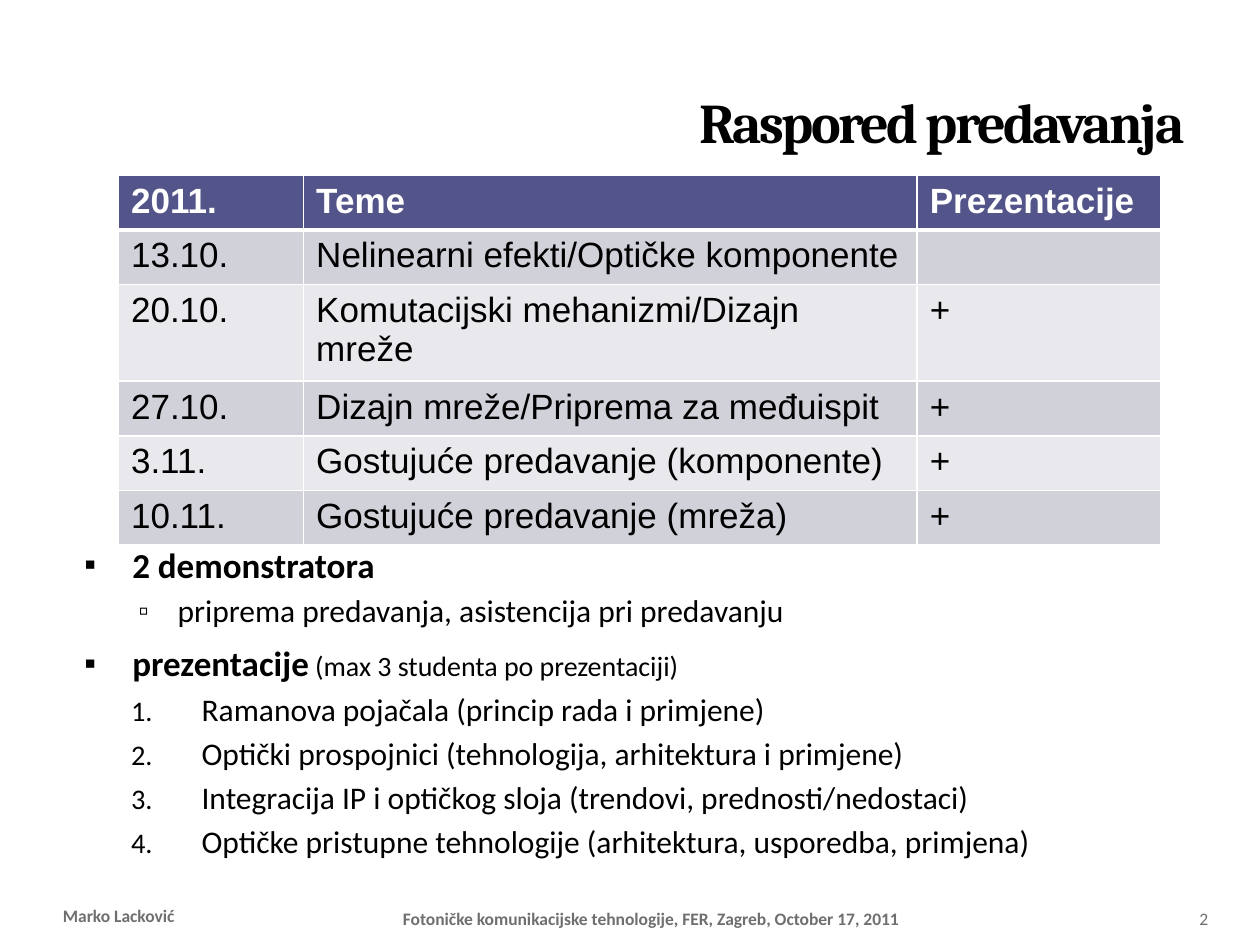
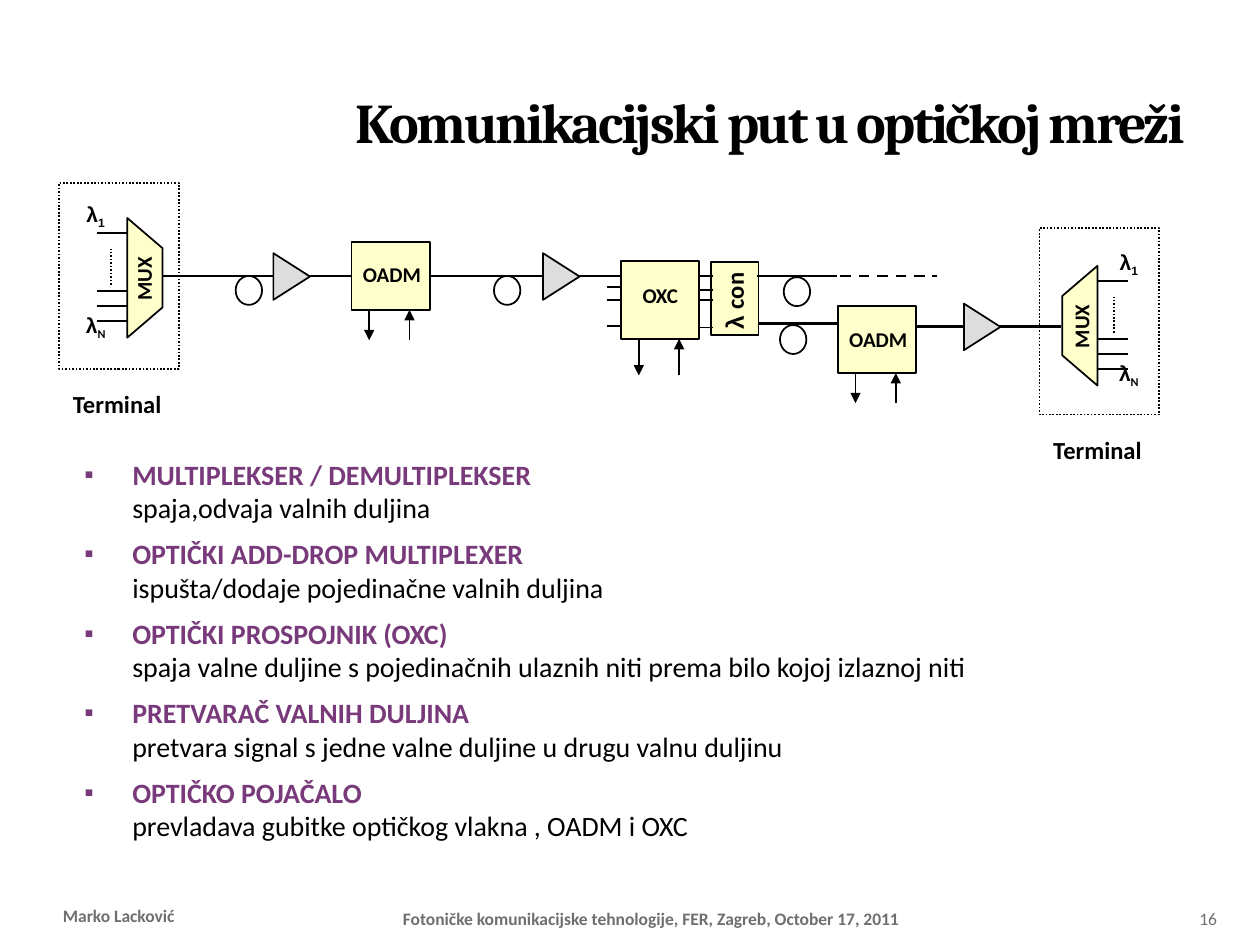
from dataclasses import dataclass
from typing import NamedTuple

from lxml import etree
from pptx import Presentation
from pptx.dml.color import RGBColor
from pptx.enum import dml, shapes, text
from pptx.oxml.ns import qn
from pptx import util as u

PX = 9144  # one px is a hundredth of an inch
COLORS = {
    "ink": "000000", "white": "FFFFFF", "footer": "6F6F6F", "term": "783A7A",
    "block": "FFFFCC", "amplifier": "DDDDDD",
    "header": "53548A", "odd": "D1D1DA", "even": "E9E9ED",
}
SANS, SERIF, TABLE_FONT = "Calibri", "Cambria", "Arial"
DOTS, DASH = dml.MSO_LINE.ROUND_DOT, dml.MSO_LINE.DASH


class Run(NamedTuple):
    words: str
    size: float
    bold: bool = False
    color: str = "ink"
    font: str = SANS
    subscript: bool = False


class ListStyle(NamedTuple):
    level: int
    left: int
    hang: int
    before: float
    bullet: str  # an empty bullet means automatic numbers
    percent: int


MAIN = ListStyle(0, 45, 38, 7, "▪", 95)
SUB = ListStyle(1, 81, 31, 3.6, "▫", 90)
NUMBERED = ListStyle(1, 100, 56, 3.6, "", 90)


class Item(NamedTuple):
    style: ListStyle
    lines: list[list[Run]]


@dataclass
class Block:
    x: int
    y: int
    w: int
    h: int
    label: str = ""
    label_dx: int = 0
    label_dy: int = 0
    drop: int = 0


@dataclass
class Terminal:
    wide_x: int
    top: int
    side: int  # -1: channels on the left, 1: on the right
    frame_x: int
    frame_y: int


def px(n: float) -> u.Emu:
    return u.Emu(round(n * PX))


def rgb(name: str) -> RGBColor:
    return RGBColor.from_string(COLORS[name])


# Text helpers
def add_run(paragraph, spec_run: Run):
    run = paragraph.add_run()
    run.text = spec_run.words
    run.font.size = u.Pt(spec_run.size)
    run.font.bold = spec_run.bold
    run.font.name = spec_run.font
    run.font.color.rgb = rgb(spec_run.color)
    if spec_run.subscript:
        run._r.get_or_add_rPr().set("baseline", "-25000")
    return run


def place(shape, x: float, y: float, w: float, h: float) -> None:
    shape.left, shape.top, shape.width, shape.height = map(px, (x, y, w, h))


def add_label(slide, cx: float, cy: float, w: int, h: int, runs: list[Run], turn: int = 0) -> None:
    box = slide.shapes.add_textbox(px(cx - w / 2), px(cy - h / 2), px(w), px(h))
    box.rotation = turn
    box.text_frame.word_wrap = False
    paragraph = box.text_frame.paragraphs[0]
    paragraph.alignment = text.PP_ALIGN.CENTER
    for run in runs:
        add_run(paragraph, run)


def add_bullet(paragraph, style: ListStyle) -> None:
    paragraph.level = style.level
    props = paragraph._p.get_or_add_pPr()
    props.set("marL", str(px(style.left)))
    props.set("indent", str(-px(style.hang)))
    etree.SubElement(props, qn("a:buSzPct"), val=str(style.percent * 1000))
    if style.bullet:
        etree.SubElement(props, qn("a:buFont"), typeface="Arial")
        etree.SubElement(props, qn("a:buChar"), char=style.bullet)
    else:
        etree.SubElement(props, qn("a:buFont"), typeface=SANS)
        etree.SubElement(props, qn("a:buAutoNum"), type="arabicPeriod")


def fill_list(body, items: list[Item]) -> None:
    frame = body.text_frame
    frame.auto_size = text.MSO_AUTO_SIZE.NONE
    for i, item in enumerate(items):
        paragraph = frame.add_paragraph() if i else frame.paragraphs[0]
        add_bullet(paragraph, item.style)
        paragraph.space_before = u.Pt(item.style.before if i else 0)
        for n, line in enumerate(item.lines):
            if n:
                paragraph.add_line_break()
                line_break = paragraph._p.findall(qn("a:br"))[-1]
                etree.SubElement(line_break, qn("a:rPr"), sz=str(line[0].size * 100))
            for run in line:
                add_run(paragraph, run)


# Parts that every slide shares
def add_footer(slide, x: int, y: int, w: int, run: Run, align, inset: int = 10) -> None:
    box = slide.shapes.add_textbox(px(x), px(y), px(w), px(40))
    frame = box.text_frame
    frame.word_wrap = True
    frame.vertical_anchor = text.MSO_ANCHOR.BOTTOM
    frame.margin_left = px(inset)
    frame.paragraphs[0].alignment = align
    add_run(frame.paragraphs[0], run)


def new_slide(deck, heading: str, number: int):
    slide = deck.slides.add_slide(deck.slide_layouts[1])
    left, center = text.PP_ALIGN.LEFT, text.PP_ALIGN.CENTER
    course = "Fotoničke komunikacijske tehnologije, FER, Zagreb, October 17, 2011"
    add_footer(slide, 158, 702, 717, Run(course, 10, True, "footer"), center)
    add_footer(slide, 50, 700, 117, Run("Marko Lacković", 10, True, "footer"), left, 0)
    add_footer(slide, 942, 702, 50, Run(str(number), 10, False, "footer"), left)
    title = slide.shapes.title
    place(title, 50, 25, 900, 142)
    title.text_frame.auto_size = text.MSO_AUTO_SIZE.NONE
    title.text_frame.vertical_anchor = text.MSO_ANCHOR.MIDDLE
    paragraph = title.text_frame.paragraphs[0]
    paragraph.alignment = text.PP_ALIGN.RIGHT
    run = add_run(paragraph, Run(heading, 32, True, font=SERIF))
    run._r.get_or_add_rPr().set("spc", "-150")
    return slide


# Schedule table
def set_borders(cell, bottom: int, top: int) -> None:
    props = cell._tc.get_or_add_tcPr()
    for side, points in (("L", 1), ("R", 1), ("T", top), ("B", bottom)):
        line = etree.SubElement(props, qn(f"a:ln{side}"), w=str(u.Pt(points)))
        fill = etree.SubElement(line, qn("a:solidFill"))
        etree.SubElement(fill, qn("a:srgbClr"), val=COLORS["white"])


def add_schedule(slide, rows: list[tuple[str, str, str]]) -> None:
    widths, heights = (147, 487, 193), (41, 43, 72, 41, 41, 41)
    frame = slide.shapes.add_table(len(rows), len(widths), px(94), px(139), px(sum(widths)), px(sum(heights)))
    table = frame.table
    for column, width in zip(table.columns, widths):
        column.width = px(width)
    for r, (row, height) in enumerate(zip(rows, heights)):
        table.rows[r].height = px(height)
        shade = "header" if r == 0 else "odd" if r % 2 else "even"
        for c, words in enumerate(row):
            cell = table.cell(r, c)
            set_borders(cell, 3 if r == 0 else 1, 3 if r == 1 else 1)
            cell.fill.solid()
            cell.fill.fore_color.rgb = rgb(shade)
            if words:
                color = "ink" if r else "white"
                add_run(cell.text_frame.paragraphs[0], Run(words, 20, r == 0, color, TABLE_FONT))


# Diagram pieces
def paint(shape, fill: str = "", dash=None) -> None:
    shape.shadow.inherit = False
    if fill:
        shape.fill.solid()
        shape.fill.fore_color.rgb = rgb(fill)
    else:
        shape.fill.background()
    shape.line.color.rgb = rgb("ink")
    shape.line.width = u.Pt(1)
    if dash:
        shape.line.dash_style = dash


def add_preset(slide, kind, x: float, y: float, w: int, h: int, fill: str = "", dash=None):
    shape = slide.shapes.add_shape(kind, px(x), px(y), px(w), px(h))
    paint(shape, fill, dash)
    return shape


def add_wire(slide, x1: int, y1: int, x2: int, y2: int, width: float = 1, dash=None, arrow: bool = False):
    wire = slide.shapes.add_connector(shapes.MSO_CONNECTOR.STRAIGHT, px(x1), px(y1), px(x2), px(y2))
    wire.line.color.rgb = rgb("ink")
    wire.line.width = u.Pt(width)
    if dash:
        wire.line.dash_style = dash
    if arrow:
        etree.SubElement(wire.line._get_or_add_ln(), qn("a:tailEnd"), type="triangle")
    etree.SubElement(wire._element.spPr, qn("a:effectLst"))
    return wire


def add_block(slide, block: Block):
    shape = add_preset(slide, shapes.MSO_SHAPE.RECTANGLE, block.x, block.y, block.w, block.h, "block")
    if block.label:
        add_label(slide, block.x + block.w / 2 + block.label_dx, block.y + block.h / 2 + block.label_dy,
                  69, 30, [Run(block.label, 12, True)])
    if block.drop:
        bottom = block.y + block.h
        add_wire(slide, block.x + 14, bottom, block.x + 14, bottom + block.drop, arrow=True)
        add_wire(slide, block.x + 46, bottom + block.drop, block.x + 46, bottom, arrow=True)
    return shape


def add_terminal(slide, t: Terminal) -> None:
    narrow_x, outer_x = t.wide_x - 28 * t.side, t.wide_x + 24 * t.side
    outline = slide.shapes.build_freeform(t.wide_x, t.top, scale=PX)
    outline.add_line_segments([(narrow_x, t.top + 24), (narrow_x, t.top + 71), (t.wide_x, t.top + 95)])
    paint(outline.convert_to_shape(), "block")
    for dy in (12, 58, 70, 82):
        add_wire(slide, t.wide_x, t.top + dy, outer_x, t.top + dy)
    dots_x = t.wide_x + 13 * t.side
    add_wire(slide, dots_x, t.top + 53, dots_x, t.top + 25, dash=DOTS)
    for index, font, dy in (("1", TABLE_FONT, -3), ("N", SANS, 85)):
        add_label(slide, t.wide_x + 25 * t.side, t.top + dy, 36, 30,
                  [Run("λ", 12, True, font=TABLE_FONT), Run(index, 12, True, font=font, subscript=True)])
    add_label(slide, t.wide_x - 13 * t.side, t.top + 48, 56, 30, [Run("MUX", 12, True)], 270)
    add_preset(slide, shapes.MSO_SHAPE.RECTANGLE, t.frame_x, t.frame_y, 95, 148, dash=DOTS)
    add_label(slide, t.frame_x + 46, t.frame_y + 176, 95, 34, [Run("Terminal", 14, True)])


def add_optical_path(slide) -> None:
    add_terminal(slide, Terminal(101, 173, -1, 47, 145))
    add_terminal(slide, Terminal(871, 211, 1, 825, 181))
    oadm = add_block(slide, Block(279, 192, 62, 54, "OADM", 1, -1, 24))
    oxc = add_block(slide, Block(493, 207, 62, 62, "OXC", 0, -4, 29))
    add_block(slide, Block(665, 243, 62, 53, "OADM", 1, 0, 24))
    add_block(slide, Block(564, 208, 38, 58))
    add_label(slide, 583, 239, 80, 34, [Run("λ ", 14, True, font=TABLE_FONT), Run("con", 14, True)], 270)

    # Fibres
    add_wire(slide, 129, 219, 279, 219, 1.5).end_connect(oadm, 1)
    add_wire(slide, 341, 219, 492, 219, 1.5).begin_connect(oadm, 3)
    add_wire(slide, 601, 219, 664, 219, 1.5)
    add_wire(slide, 667, 219, 744, 219, 1.5, DASH)
    add_wire(slide, 602, 257, 665, 257, 1.5)
    add_wire(slide, 727, 259, 842, 259, 1.5)

    # Ports of the cross-connect
    for y in (228, 259):
        add_wire(slide, 493, y, 482, y)
    for y in (219, 230, 260):
        add_wire(slide, 555, y, 566, y)
    add_wire(slide, 493, 238, 482, 238).begin_connect(oxc, 1)
    add_wire(slide, 555, 238, 566, 238).begin_connect(oxc, 3)

    # Fibre loops and amplifiers
    for x, y in ((187, 219), (392, 219), (622, 220), (619, 258)):
        add_preset(slide, shapes.MSO_SHAPE.OVAL, x, y, 21, 23)
    for x, y in ((213, 205), (427, 205), (761, 245)):
        add_preset(slide, shapes.MSO_SHAPE.ISOSCELES_TRIANGLE, x, y, 37, 29, "amplifier").rotation = 90


def build_schedule(deck) -> None:
    slide = new_slide(deck, "Raspored predavanja", 2)
    body = slide.placeholders[1]
    place(body, 50, 426, 900, 249)
    topics = ["Ramanova pojačala (princip rada i primjene)",
              "Optički prospojnici (tehnologija, arhitektura i primjene)",
              "Integracija IP i optičkog sloja (trendovi, prednosti/nedostaci)",
              "Optičke pristupne tehnologije (arhitektura, usporedba, primjena)"]
    fill_list(body, [
        Item(MAIN, [[Run("2 demonstratora", 20, True)]]),
        Item(SUB, [[Run("priprema predavanja, asistencija pri predavanju", 18)]]),
        Item(MAIN, [[Run("prezentacije", 20, True), Run(" (max 3 studenta po prezentaciji)", 16)]]),
        *(Item(NUMBERED, [[Run(topic, 18)]]) for topic in topics),
    ])
    add_schedule(slide, [
        ("2011.", "Teme", "Prezentacije"),
        ("13.10.", "Nelinearni efekti/Optičke komponente", ""),
        ("20.10.", "Komutacijski mehanizmi/Dizajn mreže", "+"),
        ("27.10.", "Dizajn mreže/Priprema za međuispit", "+"),
        ("3.11.", "Gostujuće predavanje (komponente)", "+"),
        ("10.11.", "Gostujuće predavanje (mreža)", "+"),
    ])


def build_path(deck) -> None:
    slide = new_slide(deck, "Komunikacijski put u optičkoj mreži", 16)
    body = slide.placeholders[1]
    place(body, 50, 358, 900, 317)
    terms = [
        ("MULTIPLEKSER / DEMULTIPLEKSER", "spaja,odvaja valnih duljina"),
        ("OPTIČKI ADD-DROP MULTIPLEXER", "ispušta/dodaje pojedinačne valnih duljina"),
        ("OPTIČKI PROSPOJNIK (OXC)",
         "spaja valne duljine s pojedinačnih ulaznih niti prema bilo kojoj izlaznoj niti"),
        ("PRETVARAČ VALNIH DULJINA", "pretvara signal s jedne valne duljine u drugu valnu duljinu"),
        ("OPTIČKO POJAČALO", "prevladava gubitke optičkog vlakna , OADM i OXC"),
    ]
    fill_list(body, [Item(MAIN, [[Run(term, 16, True, "term")], [Run(meaning, 16)]])
                     for term, meaning in terms])
    add_optical_path(slide)


def main() -> None:
    deck = Presentation()
    deck.slide_width, deck.slide_height = px(1000), px(750)
    build_schedule(deck)
    build_path(deck)
    deck.save("out.pptx")


if __name__ == "__main__":
    main()
